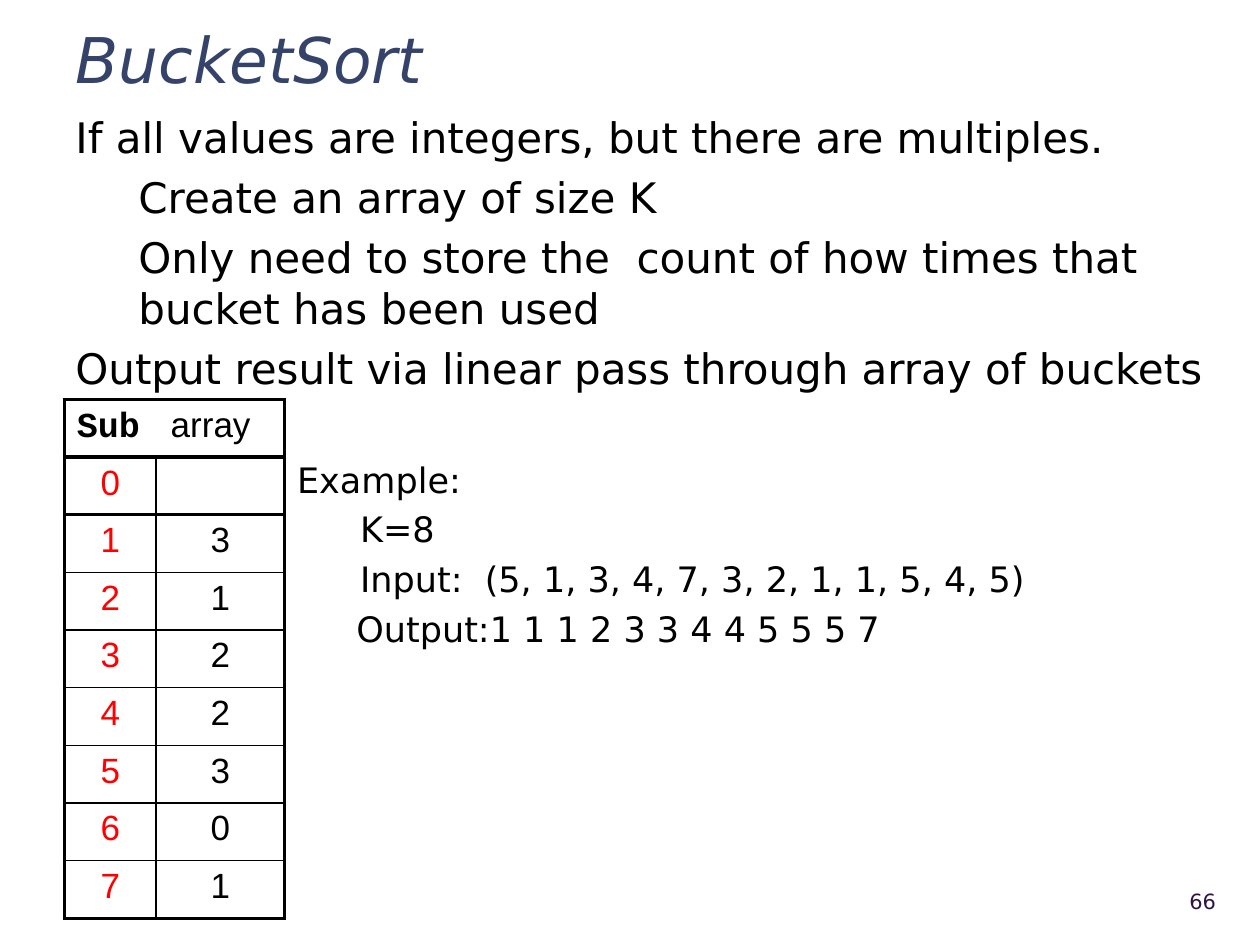
from dataclasses import dataclass

from lxml.etree import SubElement
from pptx import Presentation
from pptx.dml.color import RGBColor
from pptx.enum.text import MSO_ANCHOR as Anchor, MSO_AUTO_SIZE as AutoSize, PP_ALIGN as Align
from pptx.oxml.ns import qn
from pptx.util import Inches, Pt


@dataclass(frozen=True)
class Theme:
    sans: str = "DejaVu Sans"
    table_font: str = "Arial"
    code_font: str = "Courier New"
    title_color: str = "35436A"
    ink: str = "000000"
    index_color: str = "FF0000"
    number_color: str = "2F1343"
    paper: str = "FFFFFF"
    title_size: int = 36
    body_size: int = 24
    example_size: int = 20
    number_size: int = 12
    thick: float = 2.25
    thin: float = 1


THEME = Theme()
LINE_SPACING = 1.02
SPACE_BEFORE = 0.2  # share of the type size

POINTS = [
    (0, "If all values are integers, but there are multiples."),
    (0.5, "Create an array of size K"),
    (0.5, "Only need to store the  count of how times that bucket has been used"),
    (0, "Output result via linear pass through array of buckets"),
]
EXAMPLE = [
    (0, "Example:"),
    (0.5, "K=8"),
    (0.5, "Input:  (5, 1, 3, 4, 7, 3, 2, 1, 1, 5, 4, 5)"),
    (0.47, "Output:1 1 1 2 3 3 4 4 5 5 5 7"),
]
COUNTS = ["", "3", "1", "2", "2", "3", "0", "1"]


def add_run(paragraph, text, size, color, name=THEME.sans, **formats):
    run = paragraph.add_run()
    run.text = text
    formats.update(size=Pt(size), name=name)
    for attribute, value in formats.items():
        setattr(run.font, attribute, value)
    run.font.color.rgb = RGBColor.from_string(color)


def add_title(slide, box, text):
    title = slide.shapes.title
    title.left, title.top, title.width, title.height = map(Inches, box)
    frame = title.text_frame
    frame.auto_size = AutoSize.NONE
    frame.vertical_anchor = Anchor.MIDDLE
    heading = frame.paragraphs[0]
    heading.alignment = Align.LEFT
    heading.line_spacing = 1.1
    add_run(heading, text, THEME.title_size, THEME.title_color, italic=True)


def add_lines(slide, box, lines, size):
    frame = slide.shapes.add_textbox(*map(Inches, box)).text_frame
    frame.word_wrap = True
    for i, (indent, text) in enumerate(lines):
        line = frame.add_paragraph() if i else frame.paragraphs[0]
        line._p.get_or_add_pPr().set("marL", str(Inches(indent)))
        line.line_spacing = LINE_SPACING
        if i:
            line.space_before = Pt(size * SPACE_BEFORE)
        add_run(line, text, size, THEME.ink)


def add_slide_number(slide, box, number):
    frame = slide.shapes.add_textbox(*map(Inches, box)).text_frame
    frame.word_wrap = True
    frame.vertical_anchor = Anchor.MIDDLE
    frame.paragraphs[0].alignment = Align.RIGHT
    add_run(frame.paragraphs[0], number, THEME.number_size, THEME.number_color)


def style_cell(cell, left, right, top, bottom):
    """Draw the four borders, then the fill, which must follow them."""
    properties = cell._tc.get_or_add_tcPr()
    for side, width in zip("LRTB", (left, right, top, bottom)):
        border = SubElement(properties, qn(f"a:ln{side}"), w=str(Pt(width)))
        fill = SubElement(border, qn("a:solidFill"))
        SubElement(fill, qn("a:srgbClr"), val=THEME.ink)
    cell.fill.solid()
    cell.fill.fore_color.rgb = RGBColor.from_string(THEME.paper)


def add_bucket_table(slide, box, column_widths, counts):
    row_total = len(counts) + 1
    table = slide.shapes.add_table(row_total, 2, *map(Inches, box)).table
    table.first_row = table.horz_banding = False
    for column, width in zip(table.columns, column_widths):
        column.width = Inches(width)
    for row in table.rows:
        row.height = Inches(box[3] / row_total)

    # Thick rules frame the table, the header and the first bucket
    thick_rules = {0, 1, 2, row_total}
    rules = [THEME.thick if i in thick_rules else THEME.thin for i in range(row_total + 1)]
    for r in range(row_total):
        divider = THEME.thin if r else THEME.thick
        style_cell(table.cell(r, 0), THEME.thick, divider, rules[r], rules[r + 1])
        style_cell(table.cell(r, 1), divider, THEME.thick, rules[r], rules[r + 1])

    # Header across both columns
    header = table.cell(0, 0)
    header.merge(table.cell(0, 1))
    heading = header.text_frame.paragraphs[0]
    add_run(heading, "Sub ", THEME.example_size, THEME.ink, THEME.code_font, bold=True)
    add_run(heading, " array", THEME.example_size, THEME.ink, THEME.table_font, bold=False)

    # One row per bucket: subscript and count
    for subscript, count in enumerate(counts):
        pair = ((str(subscript), THEME.index_color), (count, THEME.ink))
        for c, (text, color) in enumerate(pair):
            entry = table.cell(subscript + 1, c).text_frame.paragraphs[0]
            entry.alignment = Align.CENTER
            if text:
                add_run(entry, text, THEME.example_size, color, THEME.table_font)


def main():
    deck = Presentation()
    deck.slide_width, deck.slide_height = Inches(10), Inches(7.5)
    slide = deck.slides.add_slide(deck.slide_layouts.get_by_name("Title Only"))
    add_title(slide, (0.5, 0.17, 9.25, 0.53), "BucketSort")
    add_lines(slide, (0.5, 0.83, 9.25, 3.08), POINTS, THEME.body_size)
    add_slide_number(slide, (8.89, 6.95, 0.86, 0.4), "66")
    add_bucket_table(slide, (0.51, 3.17, 1.75, 4.12), (0.73, 1.02), COUNTS)
    add_lines(slide, (2.26, 3.58, 7.5, 2.83), EXAMPLE, THEME.example_size)
    deck.save("out.pptx")


if __name__ == "__main__":
    main()
